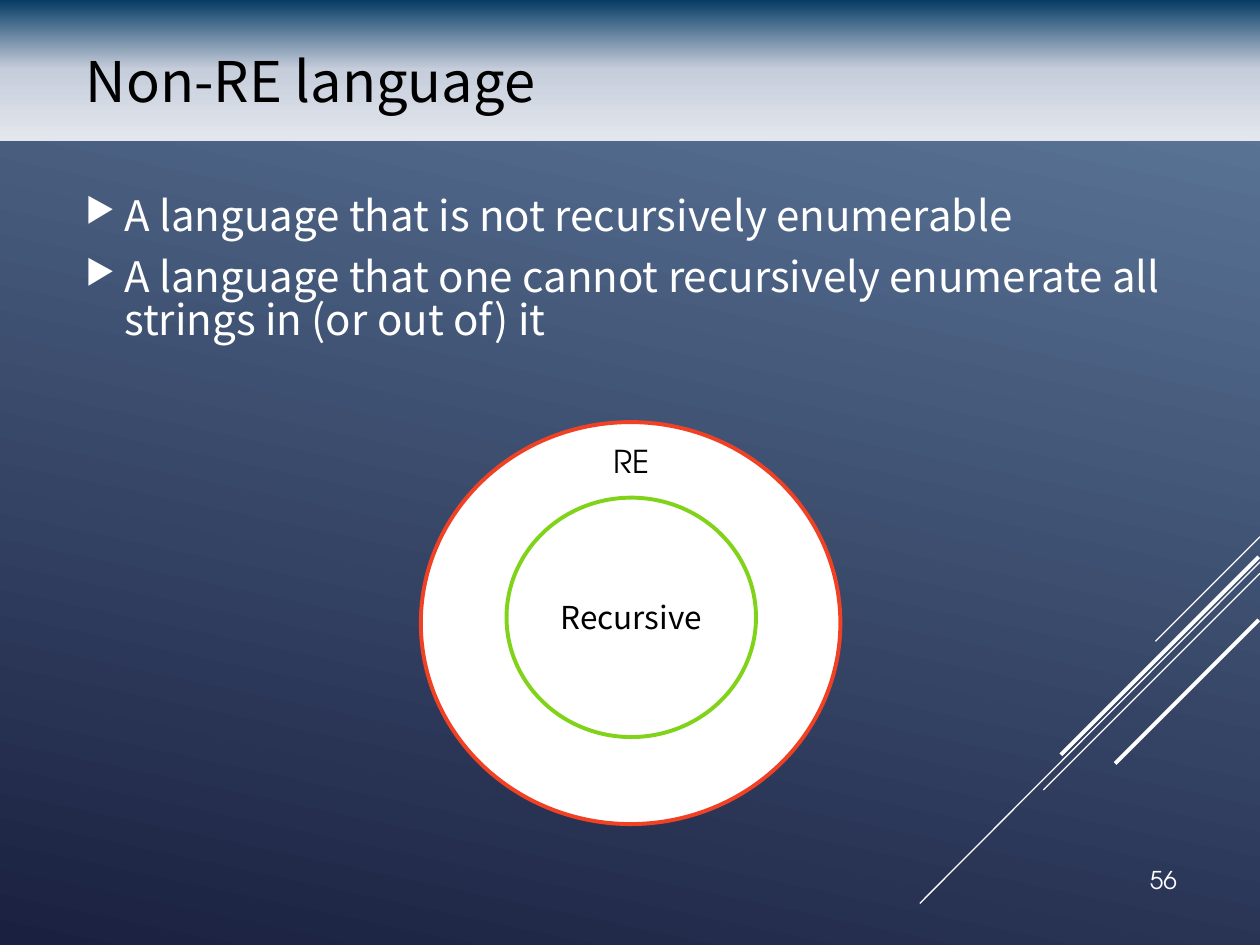
from copy import deepcopy

from pptx import Presentation
from pptx import util as u
from pptx.dml.color import RGBColor
from pptx.enum import shapes, text
from pptx.oxml import parse_xml
from pptx.oxml.ns import nsdecls, qn

Inches, Pt = u.Inches, u.Pt
COLORS = {
    "white": "FFFFFF", "black": "000000", "red": "F14124", "green": "81D31A",
    "bg_light": "597496", "bg_dark": "1A2040",
    "band_top": "073C65", "band_mid": "C6CDDB", "band_end": "E3E7ED",
}
RGB = {name: RGBColor.from_string(value) for name, value in COLORS.items()}
SANS, GEOMETRIC = "Noto Sans CJK SC", "TeX Gyre Adventor"


def set_gradient(fill, stops, angle):
    fill.gradient()
    fill.gradient_angle = angle
    first = fill.gradient_stops[0].color  # colour is set below for every stop
    first.rgb = RGB["white"]
    gs_list = next(iter(fill._xPr.iter(qn("a:gsLst"))))
    while len(gs_list) < len(stops):
        gs_list.append(deepcopy(gs_list[0]))
    for stop, (position, color) in zip(fill.gradient_stops, stops):
        stop.position = position
        stop.color.rgb = RGB[color]


def write(sp, lines, size, font, color, align="LEFT", anchor="TOP", wrap=True):
    tf = sp.text_frame
    for name, value in {"word_wrap": wrap,
                        "vertical_anchor": getattr(text.MSO_ANCHOR, anchor)}.items():
        setattr(tf, name, value)
    for i, line in enumerate(lines):
        p = tf.paragraphs[0] if i == 0 else tf.add_paragraph()
        p.alignment = getattr(text.PP_ALIGN, align)
        r = p.add_run()
        r.text = line
        for name, value in {"size": Pt(size), "name": font}.items():
            setattr(r.font, name, value)
        r.font.color.rgb = RGB[color]
    return tf


prs = Presentation()
prs.slide_width, prs.slide_height = Inches(10), Inches(7.5)
s = prs.slides.add_slide(prs.slide_layouts[5])

# Background
set_gradient(s.background.fill, [(0.1, "bg_light"), (1, "bg_dark")], 258)

# Diagonal lines
for x1, y1, x2, y2, width in [
    (10, 4.26, 9.17, 5.09, 0.75),
    (10, 4.46, 7.3, 7.17, 0.75),
    (10, 4.55, 8.28, 6.27, 0.75),
    (9.99, 4.42, 8.42, 5.99, 2.25),
    (9.99, 4.92, 8.85, 6.06, 2.25),
]:
    line = s.shapes.add_connector(shapes.MSO_CONNECTOR.STRAIGHT,
                                  Inches(x1), Inches(y1), Inches(x2), Inches(y2))
    line.line.color.rgb = RGB["white"]
    line.line.width = Pt(width)
    line._element.spPr.append(parse_xml(f"<a:effectLst {nsdecls('a')}/>"))

# Title band
band = s.shapes.add_shape(shapes.MSO_SHAPE.RECTANGLE, 0, 0, prs.slide_width, Inches(1.12))
band.shadow.inherit = False
band.line.fill.background()
set_gradient(band.fill, [(0, "band_top"), (0.49, "band_mid"), (1, "band_end")], 270)

# Title, in front of the band
title = s.shapes.title
for name, value in {"left": 0.58, "top": 0.16, "width": 8.86, "height": 0.96}.items():
    setattr(title, name, Inches(value))
write(title, ["Non-RE language"], 32, SANS, "black", anchor="MIDDLE")
band._element.addnext(title._element)

# Bullets
body = s.shapes.add_textbox(Inches(0.58), Inches(1.52), Inches(8.86), Inches(5.03))
tf = write(body, [
    "A language that is not recursively enumerable",
    "A language that one cannot recursively enumerate all strings in (or out of) it",
], 24, SANS, "white")
for p in tf.paragraphs:
    for name, value in {"space_before": Pt(4.8), "space_after": Pt(6),
                        "line_spacing": 0.84}.items():
        setattr(p, name, value)
    pPr = p._p.get_or_add_pPr()
    pPr.set("marL", str(Inches(0.31)))
    pPr.set("indent", str(Inches(-0.31)))
    for xml in [
        f"<a:buClr {nsdecls('a')}><a:srgbClr val='{COLORS['white']}'/></a:buClr>",
        f"<a:buSzPct {nsdecls('a')} val='80000'/>",
        f"<a:buChar {nsdecls('a')} char='▶'/>",
    ]:
        pPr.append(parse_xml(xml))

# Slide number
number = s.shapes.add_textbox(Inches(8.85), Inches(6.68), Inches(0.59), Inches(0.47))
write(number, ["56"], 14, GEOMETRIC, "white", align="RIGHT", anchor="BOTTOM")

# Nested language classes
for x, y, w, h, color, label in [
    (3.34, 3.35, 3.33, 3.19, "red", None),
    (4.02, 3.95, 1.98, 1.9, "green", "Recursive"),
]:
    sp = s.shapes.add_shape(shapes.MSO_SHAPE.OVAL, Inches(x), Inches(y), Inches(w), Inches(h))
    sp.shadow.inherit = False
    sp.fill.solid()
    sp.fill.fore_color.rgb = RGB["white"]
    sp.line.color.rgb = RGB[color]
    sp.line.width = Pt(2.25)
    if label:
        write(sp, [label], 18, SANS, "black", align="CENTER", anchor="MIDDLE")

re_label = s.shapes.add_textbox(Inches(4.77), Inches(3.46), Inches(0.49), Inches(0.4))
write(re_label, ["RE"], 18, GEOMETRIC, "black", wrap=False)

prs.save("out.pptx")
